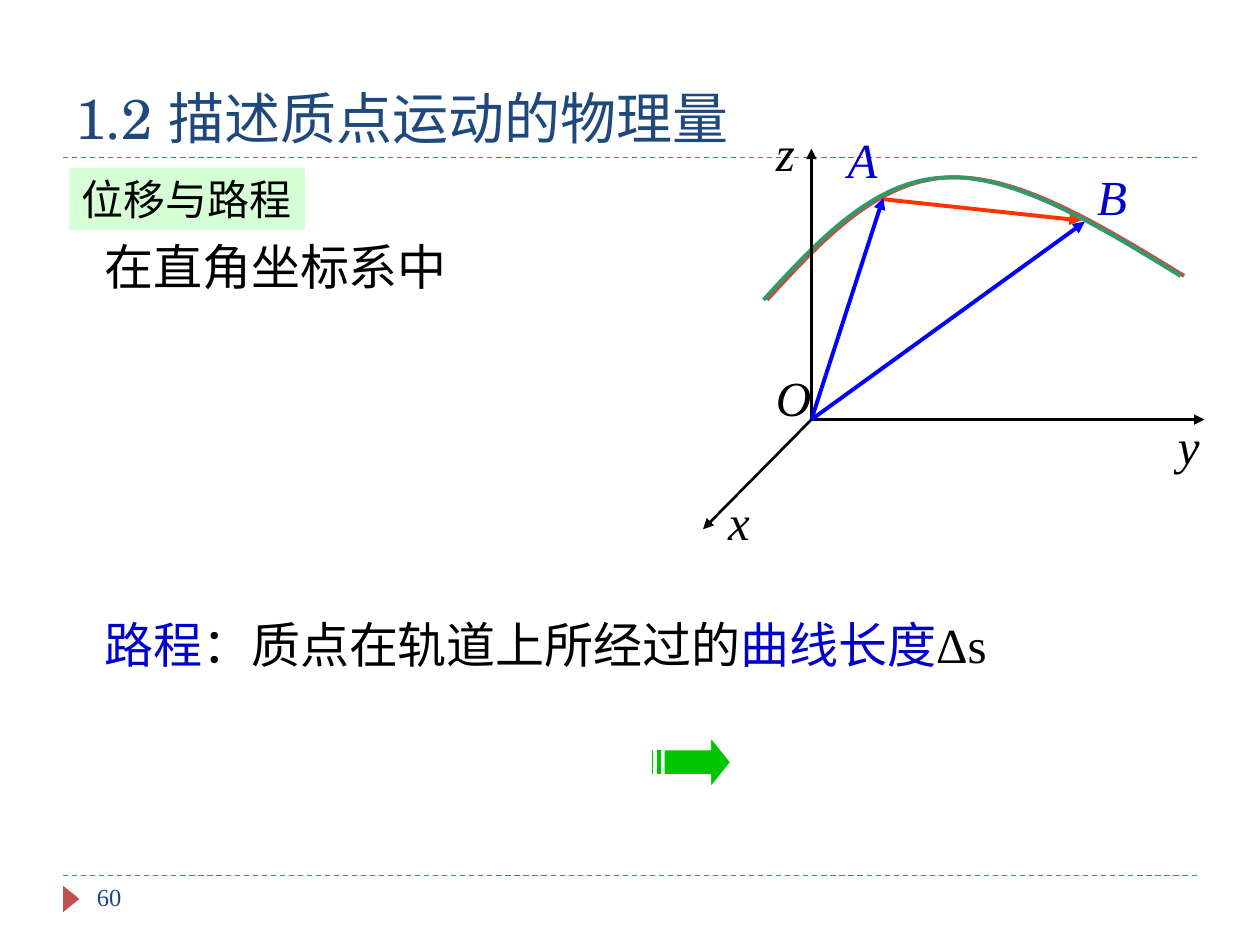
"""Build the slide on displacement and path length in Cartesian coordinates."""
from lxml.etree import SubElement
from pptx import Presentation
from pptx.dml.color import RGBColor
from pptx.enum.dml import MSO_LINE
from pptx.enum.shapes import MSO_CONNECTOR, MSO_SHAPE
from pptx.enum.text import MSO_ANCHOR, MSO_AUTO_SIZE, PP_ALIGN
from pptx.oxml.ns import qn
from pptx.util import Pt

PX = 9144
SERIF = "Times New Roman"
CJK = "Noto Sans CJK SC"
BLACK, BLUE, NAVY, RED = "000000", "0000CC", "1F497D", "C0504D"

TITLE = "1.2 描述质点运动的物理量"
TITLE_BOX = (50, 25, 900, 100)
TAG = "位移与路程"
TAG_BOX = (55, 133, 187, 50)
RULES = [695, 125]
TEXTS = [
    ((67, 695, 217, 40), 14, [("60", SERIF, NAVY)]),
    ((73, 183, 386, 57), 28, [("在直角坐标系中", SERIF, BLACK)]),
    ((73, 483, 802, 57), 28, [
        ("路程", CJK, BLUE),
        ("：质点在轨道上所经过的", SERIF, BLACK),
        ("曲线长度", SERIF, BLUE),
        ("Δs", SERIF, BLACK),
    ]),
]
LABELS = [
    ("z", (606, 92, 35, 57), BLACK),
    ("y", (925, 325, 37, 57), BLACK),
    ("x", (568, 385, 37, 57), BLACK),
    ("O", (606, 287, 58, 57), BLACK),
    ("B", (861, 127, 57, 57), BLUE),
    ("A", (663, 98, 66, 57), BLUE),
]
ORIGIN = (644, 333)
DISPLACEMENT = ((700, 158), (858, 175), "FF3300", 2.25)
AXES = [(ORIGIN, end, BLACK, 1.5) for end in [(956, 333), (558, 420), (644, 118)]]
POSITIONS = [(ORIGIN, end, "0000FF", 2.25) for end in [(861, 176), (701, 157)]]
TRAJECTORY = [(606, 238), (649, 191), (693, 144), (748, 141),
              (803, 137), (870, 178), (937, 219)]
ARROW_HEAD = [(564, 585), (564, 595), (527, 595), (527, 615),
              (564, 615), (564, 625), (580, 605)]
ARROW_STRIPES = [(521, 525), (517, 519)]
STRIPE_TOP, STRIPE_BOTTOM = 595, 615


def color(value):
    return RGBColor.from_string(value)


def scaled(values):
    return [value * PX for value in values]


def style_line(line, value, width):
    line.color.rgb = color(value)
    line.width = Pt(width)


def add_run(paragraph, text, font, size, value, italic=False):
    run = paragraph.add_run()
    run.text = text
    run.font.name = font
    run.font.size = Pt(size)
    run.font.italic = italic
    run.font.color.rgb = color(value)
    SubElement(run.font._element, qn("a:ea"), typeface=CJK)


def add_text(slide, box, size, runs, italic=False):
    shape = slide.shapes.add_textbox(*scaled(box))
    shape.text_frame.word_wrap = True
    for text, font, value in runs:
        add_run(shape.text_frame.paragraphs[0], text, font, size, value, italic)


def add_line(slide, start, end, value, width, arrow=True):
    line = slide.shapes.add_connector(MSO_CONNECTOR.STRAIGHT, *scaled(start + end))
    style_line(line.line, value, width)
    if arrow:
        SubElement(line.line._get_or_add_ln(), qn("a:tailEnd"), type="triangle")
    else:
        line.line.dash_style = MSO_LINE.DASH
    SubElement(line._element.spPr, qn("a:effectLst"))


def add_freeform(slide, contours, close):
    builder = slide.shapes.build_freeform(*contours[0][0], scale=PX)
    for index, points in enumerate(contours):
        if index:
            builder.move_to(*points[0])
        builder.add_line_segments(points[1:], close=close)
    shape = builder.convert_to_shape()
    shape.shadow.inherit = False
    return shape


def add_trajectory(slide):
    shape = add_freeform(slide, [TRAJECTORY], close=False)
    shape.fill.background()
    style_line(shape.line, "339966", 2.25)
    segments = list(shape._element.iter(qn("a:lnTo")))
    outline = segments[0].getparent()
    for start in range(0, len(segments), 3):
        curve = SubElement(outline, qn("a:cubicBezTo"))
        for segment in segments[start:start + 3]:
            curve.append(segment[0])
            outline.remove(segment)
    effects = shape._element.spPr.find(qn("a:effectLst"))
    shadow = SubElement(effects, qn("a:outerShdw"), blurRad="0", dist=str(Pt(2)), dir="0")
    SubElement(shadow, qn("a:srgbClr"), val=RED)


def add_striped_arrow(slide):
    stripes = [[(left, STRIPE_TOP), (left, STRIPE_BOTTOM),
                (right, STRIPE_BOTTOM), (right, STRIPE_TOP)]
               for left, right in ARROW_STRIPES]
    shape = add_freeform(slide, [ARROW_HEAD, *stripes], close=True)
    shape.fill.solid()
    shape.fill.fore_color.rgb = color("00C600")
    style_line(shape.line, "FFFFFF", 0.75)


def add_filled(slide, kind, box, value):
    shape = slide.shapes.add_shape(kind, *scaled(box))
    shape.shadow.inherit = False
    shape.fill.solid()
    shape.fill.fore_color.rgb = color(value)
    shape.line.fill.background()
    return shape


def add_title(slide):
    title = slide.shapes.title
    title.left, title.top, title.width, title.height = scaled(TITLE_BOX)
    frame = title.text_frame
    frame.auto_size = MSO_AUTO_SIZE.NONE
    frame.vertical_anchor = MSO_ANCHOR.BOTTOM
    frame.paragraphs[0].alignment = PP_ALIGN.LEFT
    add_run(frame.paragraphs[0], TITLE, "TeX Gyre Schola", 32, NAVY)


def add_tag(slide):
    tag = add_filled(slide, MSO_SHAPE.RECTANGLE, TAG_BOX, "CCFFCC")
    fill_color = tag._element.spPr.find(qn("a:solidFill"))[0]
    SubElement(fill_color, qn("a:alpha"), val="80000")
    tag.text_frame.word_wrap = False
    tag.text_frame.vertical_anchor = MSO_ANCHOR.MIDDLE
    paragraph = tag.text_frame.paragraphs[0]
    paragraph.alignment = PP_ALIGN.LEFT
    add_run(paragraph, TAG, "Arial", 24, BLACK)


def main():
    presentation = Presentation()
    presentation.slide_width, presentation.slide_height = scaled((1000, 750))
    slide = presentation.slides.add_slide(presentation.slide_layouts[5])
    for y in RULES:
        add_line(slide, (50, y), (950, y), RED, 0.75, arrow=False)
    marker = add_filled(slide, MSO_SHAPE.ISOSCELES_TRIANGLE, (46, 707, 21, 13), RED)
    marker.rotation = 90
    add_title(slide)
    add_line(slide, *DISPLACEMENT)
    add_trajectory(slide)
    for vector in AXES + POSITIONS:
        add_line(slide, *vector)
    for text, box, value in LABELS:
        add_text(slide, box, 28, [(text, SERIF, value)], italic=True)
    add_tag(slide)
    for box, size, runs in TEXTS:
        add_text(slide, box, size, runs)
    add_striped_arrow(slide)
    presentation.save("out.pptx")


if __name__ == "__main__":
    main()
